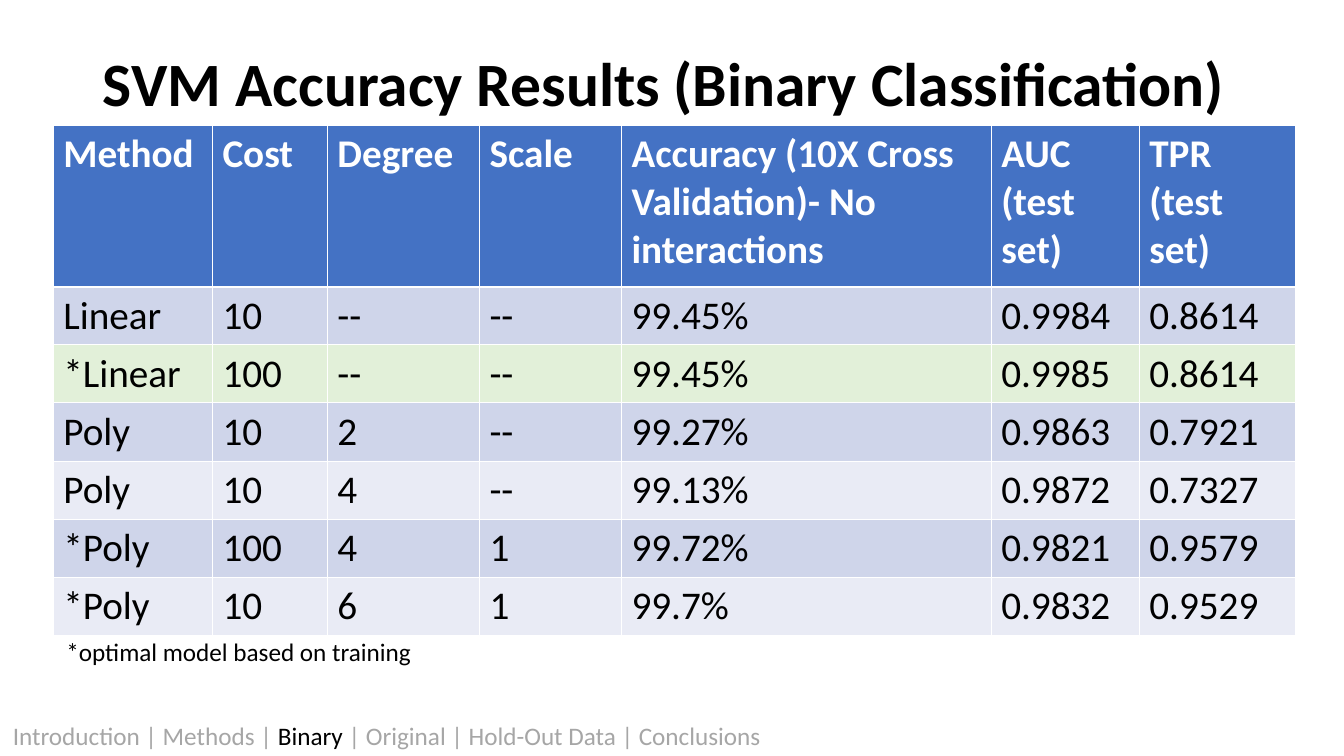
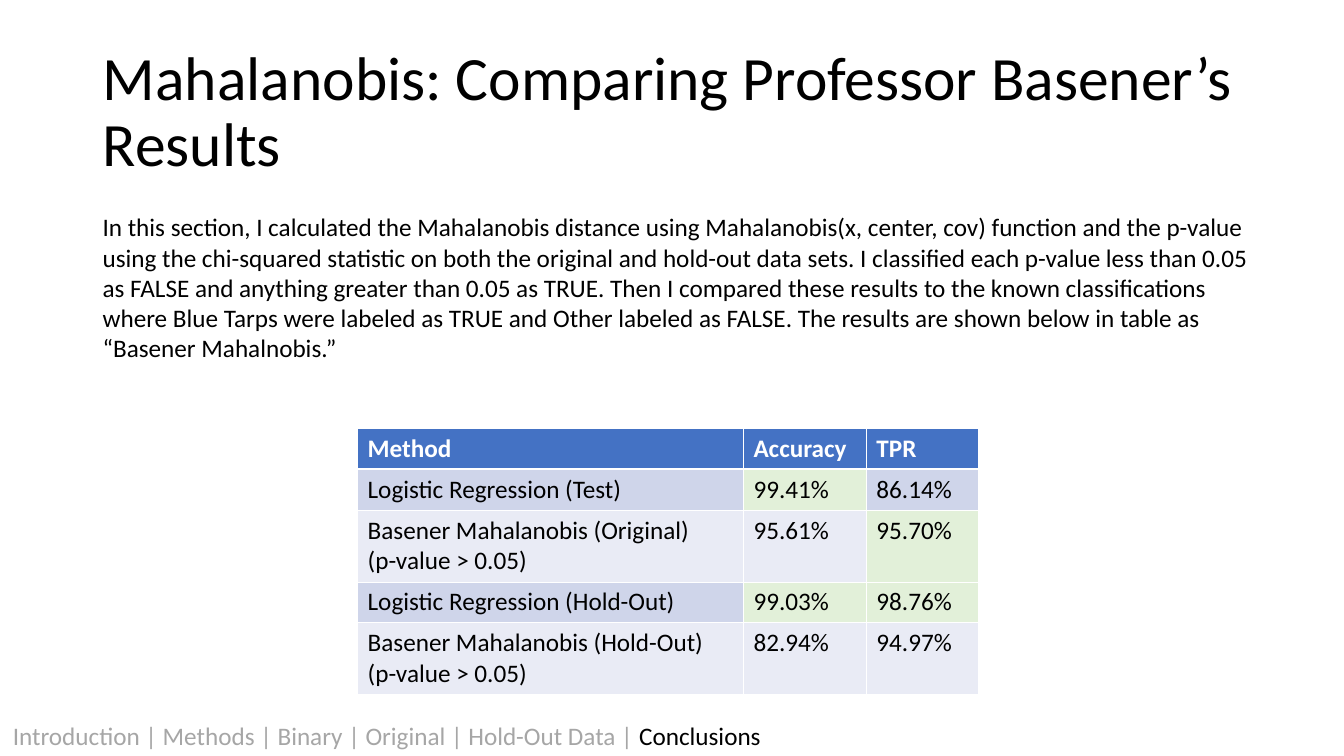
from lxml.etree import SubElement
from pptx import Presentation
from pptx.dml.color import RGBColor
from pptx.enum.text import MSO_ANCHOR as Anchor, MSO_AUTO_SIZE as AutoSize, PP_ALIGN as Align
from pptx.oxml.ns import qn
from pptx.util import Inches, Pt

# Shared look
SLIDE_W, SLIDE_H = Inches(13.34), Inches(7.5)
FONT = "Calibri"
BLACK, WHITE, MUTED = "000000", "FFFFFF", "A6A6A6"
HEADER, BANDS, HIGHLIGHT = "4472C4", ("CFD5EA", "E9EBF5"), "E2F0D9"
THIN, THICK = 0.45, 1.47
SECTIONS = ["Introduction", "Methods", "Binary", "Original", "Hold-Out Data", "Conclusions"]

# Content
SVM_RESULTS = [
    ["Method", "Cost", "Degree", "Scale", "Accuracy (10X Cross Validation)- No interactions",
     "AUC\n(test set)", "TPR\n(test set)"],
    ["Linear", "10", "--", "--", "99.45%", "0.9984", "0.8614"],
    ["*Linear", "100", "--", "--", "99.45%", "0.9985", "0.8614"],
    ["Poly", "10", "2", "--", "99.27%", "0.9863", "0.7921"],
    ["Poly", "10", "4", "--", "99.13%", "0.9872", "0.7327"],
    ["*Poly", "100", "4", "1", "99.72%", "0.9821", "0.9579"],
    ["*Poly", "10", "6", "1", "99.7%", "0.9832", "0.9529"],
]
MAHALANOBIS_RESULTS = [
    ["Method", "Accuracy", "TPR"],
    ["Logistic Regression (Test)", "99.41%", "86.14%"],
    ["Basener Mahalanobis (Original)\n(p-value > 0.05)", "95.61%", "95.70%"],
    ["Logistic Regression (Hold-Out)", "99.03%", "98.76%"],
    ["Basener Mahalanobis (Hold-Out)\n(p-value > 0.05)", "82.94%", "94.97%"],
]
MAHALANOBIS_TEXT = (
    "In this section, I calculated the Mahalanobis distance using Mahalanobis(x, center, cov) "
    "function and the p-value using the chi-squared statistic on both the original and hold-out "
    "data sets. I classified each p-value less than 0.05 as FALSE and anything greater than 0.05 "
    "as TRUE. Then I compared these results to the known classifications where Blue Tarps were "
    "labeled as TRUE and Other labeled as FALSE. The results are shown below in table as "
    "“Basener Mahalnobis.”"
)


def rgb(color):
    return RGBColor.from_string(color)


def across(percent):
    """Percentage of the slide width."""
    return round(SLIDE_W * percent / 100)


def down(percent):
    """Percentage of the slide height."""
    return round(SLIDE_H * percent / 100)


def box(left, top, width, height):
    return across(left), down(top), across(width), down(height)


def style(frame, size, color=BLACK, bold=False):
    for paragraph in frame.paragraphs:
        font = paragraph.font
        font.name, font.size, font.bold = FONT, Pt(size), bold
        font.color.rgb = rgb(color)


def add_titled_slide(prs, title, top, bold=False):
    slide = prs.slides.add_slide(prs.slide_layouts[5])
    heading = slide.shapes.title
    heading.left, heading.top, heading.width, heading.height = box(6.9, top, 86.2, 19.33)
    frame = heading.text_frame
    frame.text = title
    frame.word_wrap, frame.auto_size = True, AutoSize.NONE
    frame.vertical_anchor = Anchor.MIDDLE
    frame.paragraphs[0].alignment = Align.LEFT
    frame.paragraphs[0].line_spacing = 0.9
    style(frame, 44, bold=bold)
    return slide


def add_text(slide, bounds, text=""):
    frame = slide.shapes.add_textbox(*box(*bounds)).text_frame
    frame.word_wrap = True
    frame.text = text
    style(frame, 18)
    return frame


def add_section_footer(slide, current):
    frame = add_text(slide, (0.22, 94.67, 98.88, 5.33))
    trail = frame.paragraphs[0]
    before, after = " | ".join(SECTIONS).split(current)
    for part, color in ((before, MUTED), (current, BLACK), (after, MUTED)):
        if part:
            run = trail.add_run()
            run.text = part
            run.font.color.rgb = rgb(color)


def add_borders(cell, row):
    top = THICK if row == 1 else THIN
    bottom = THICK if row == 0 else THIN
    properties = cell._tc.get_or_add_tcPr()
    for side, width in (("L", THIN), ("R", THIN), ("T", top), ("B", bottom)):
        line = SubElement(properties, qn(f"a:ln{side}"), w=str(Pt(width)))
        SubElement(SubElement(line, qn("a:solidFill")), qn("a:srgbClr"), val=WHITE)


def add_results_table(slide, left, top, widths, heights, rows, size, highlights):
    bounds = box(left, top, sum(widths), sum(heights))
    table = slide.shapes.add_table(len(rows), len(widths), *bounds).table
    for column, width in zip(table.columns, widths):
        column.width = across(width)
    for line, height in zip(table.rows, heights):
        line.height = down(height)
    for r, values in enumerate(rows):
        for c, value in enumerate(values):
            cell = table.cell(r, c)
            cell.text = value
            style(cell.text_frame, size, BLACK if r else WHITE, bold=r == 0)
            add_borders(cell, r)
            band = BANDS[(r - 1) % 2] if r else HEADER
            cell.fill.solid()
            cell.fill.fore_color.rgb = rgb(HIGHLIGHT if (r, c) in highlights else band)


def add_svm_slide(prs):
    slide = add_titled_slide(prs, "SVM Accuracy Results (Binary Classification)", 1.73, bold=True)
    add_results_table(
        slide, 3.97, 16.53, [11.84, 8.55, 11.32, 10.57, 27.51, 11.02, 11.62],
        [21.4] + [7.67] * 6, SVM_RESULTS, 28, {(2, c) for c in range(7)})
    add_section_footer(slide, "Binary")
    add_text(slide, (4.2, 83.47, 94.9, 5.33), "*optimal model based on training")


def add_mahalanobis_slide(prs):
    slide = add_titled_slide(prs, "Mahalanobis: Comparing Professor Basener’s Results", 5.33)
    add_results_table(
        slide, 26.61, 56.67, [28.71, 9.15, 8.32], [5.4, 5.4, 9.4, 5.4, 9.4],
        MAHALANOBIS_RESULTS, 18, {(1, 1), (2, 2), (3, 1), (3, 2)})
    add_section_footer(slide, "Conclusions")
    add_text(slide, (6.9, 27.33, 88, 21.33), MAHALANOBIS_TEXT)


def main():
    prs = Presentation()
    prs.slide_width, prs.slide_height = SLIDE_W, SLIDE_H
    add_svm_slide(prs)
    add_mahalanobis_slide(prs)
    prs.save("out.pptx")


if __name__ == "__main__":
    main()
